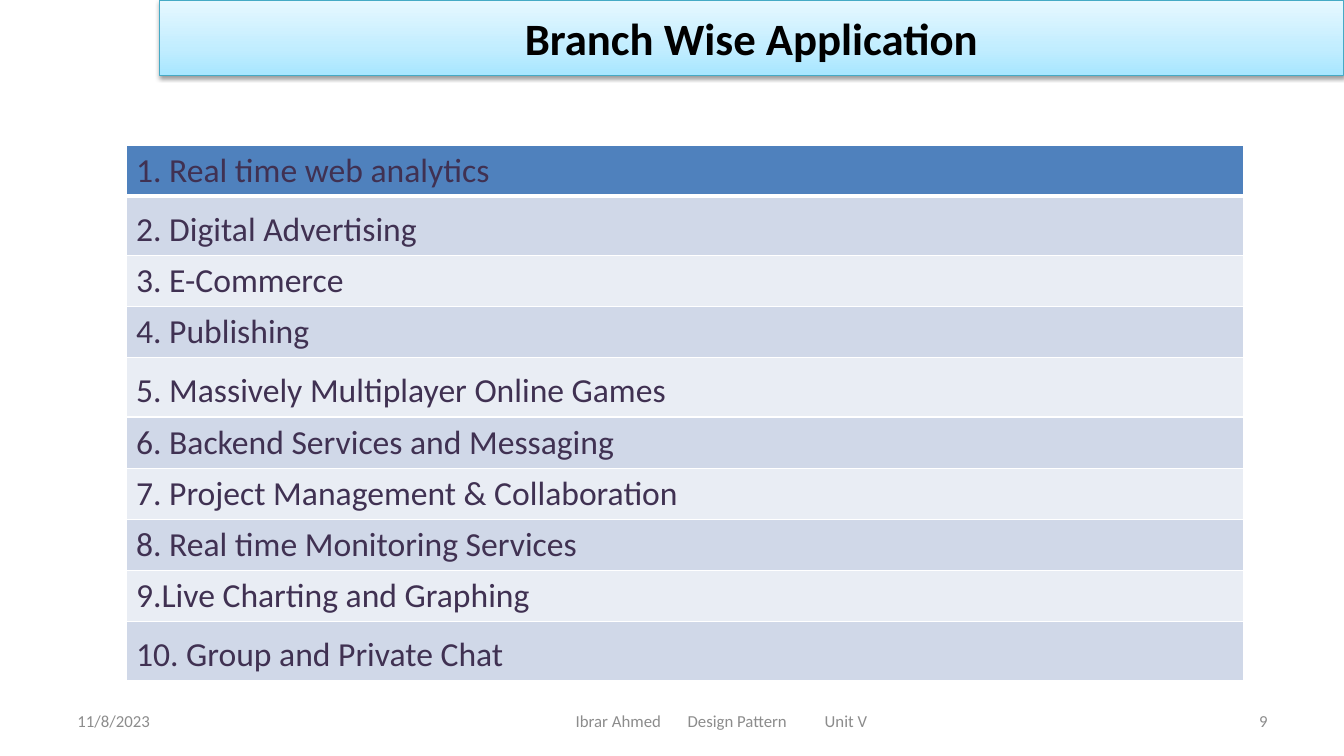
"""Build the slide listing branch wise applications."""
from dataclasses import dataclass

from lxml.etree import SubElement
from pptx import Presentation
from pptx.dml.color import RGBColor
from pptx.enum.text import MSO_ANCHOR as Anchor, PP_ALIGN as Align
from pptx.oxml import parse_xml
from pptx.oxml.ns import nsdecls, qn
from pptx.util import Inches, Pt


@dataclass(frozen=True)
class Theme:
    font: str = "Calibri"
    title_text: str = "000000"
    title_line: str = "46AAC5"
    table_text: str = "403152"
    header: str = "4F81BD"
    bands: tuple = ("E9EDF4", "D0D8E8")
    border: str = "FFFFFF"
    footer_text: str = "8C8C8C"
    title_size: int = 32
    table_size: int = 24
    footer_size: int = 12


theme = Theme()


def write(frame, text, size, color, bold=False, align=Align.LEFT, spacing=None, tabs=()):
    """Put one formatted paragraph in a text frame."""
    paragraph = frame.paragraphs[0]
    paragraph.text = text
    paragraph.alignment = align
    if spacing:
        paragraph.line_spacing = spacing
    if tabs:
        tab_list = SubElement(paragraph._p.get_or_add_pPr(), qn("a:tabLst"))
        for position in tabs:
            SubElement(tab_list, qn("a:tab"), pos=str(Inches(position)), algn="l")
    for run in paragraph.runs:
        run.font.name = theme.font
        run.font.size = Pt(size)
        run.font.bold = bold
        run.font.color.rgb = RGBColor.from_string(color)


presentation = Presentation()
presentation.slide_width, presentation.slide_height = Inches(13.33), Inches(7.5)
slide = presentation.slides.add_slide(presentation.slide_layouts[5])

title = slide.shapes.title
title.left, title.top = Inches(1.58), Inches(0)
title.width, title.height = Inches(11.75), Inches(0.75)
title.text_frame.vertical_anchor = Anchor.MIDDLE
write(title.text_frame, "Branch Wise Application", theme.title_size, theme.title_text,
      bold=True, align=Align.CENTER)
title_properties = title._element.spPr
title_properties.append(parse_xml(
    f'<a:gradFill {nsdecls("a")} rotWithShape="1"><a:gsLst>'
    '<a:gs pos="0"><a:srgbClr val="A7E6FF"/></a:gs>'
    '<a:gs pos="35000"><a:srgbClr val="C1EDFF"/></a:gs>'
    '<a:gs pos="100000"><a:srgbClr val="E7F8FF"/></a:gs>'
    '</a:gsLst><a:lin ang="16200000" scaled="1"/></a:gradFill>'))
title.line.color.rgb = RGBColor.from_string(theme.title_line)
title.line.width = Pt(0.75)
title_properties.append(parse_xml(
    f'<a:effectLst {nsdecls("a")}><a:outerShdw blurRad="{Pt(3.1)}" dist="{Pt(1.6)}" '
    'dir="5400000" rotWithShape="0"><a:srgbClr val="000000"><a:alpha val="38000"/>'
    '</a:srgbClr></a:outerShdw></a:effectLst>'))

applications = [
    ("1. Real time web analytics", None),
    ("2. Digital Advertising", 1.2),
    ("3. E-Commerce", None),
    ("4. Publishing", None),
    ("5. Massively Multiplayer Online Games", 1.2),
    ("6. Backend Services and Messaging", None),
    ("7. Project Management & Collaboration", None),
    ("8. Real time Monitoring Services", None),
    ("9.Live Charting and Graphing", None),
    ("10. Group and Private Chat", 1.2),
]
table_frame = slide.shapes.add_table(len(applications), 1, Inches(1.25), Inches(1.44),
                                     Inches(11.08), Inches(5.14))
table = table_frame.table
for index, (application, spacing) in enumerate(applications):
    table.rows[index].height = Inches(0.41)
    cell = table.cell(index, 0)
    write(cell.text_frame, application, theme.table_size, theme.table_text, spacing=spacing)
    borders = {"lnL": 1, "lnR": 1, "lnT": 3 if index == 1 else 1, "lnB": 3 if index == 0 else 1}
    for side, width in borders.items():
        cell._tc.get_or_add_tcPr().append(parse_xml(
            f'<a:{side} {nsdecls("a")} w="{Pt(width)}"><a:solidFill>'
            f'<a:srgbClr val="{theme.border}"/></a:solidFill></a:{side}>'))
    cell.fill.solid()
    cell.fill.fore_color.rgb = RGBColor.from_string(
        theme.bands[index % 2] if index else theme.header)
table_frame.height = Inches(5.14)

footers = [
    ("11/8/2023", 0.67, 3.11, 0.1, Align.LEFT, ()),
    ("Ibrar Ahmed\tDesign Pattern\tUnit V", 4.42, 5.5, 1.29, Align.LEFT, (1.11, 2.47)),
    ("9", 9.56, 3.11, 0.1, Align.RIGHT, ()),
]
for text, left, width, inset, align, tabs in footers:
    footer = slide.shapes.add_textbox(Inches(left), Inches(6.95), Inches(width), Inches(0.4))
    footer.text_frame.word_wrap = True
    footer.text_frame.vertical_anchor = Anchor.MIDDLE
    footer.text_frame.margin_left = Inches(inset)
    write(footer.text_frame, text, theme.footer_size, theme.footer_text, align=align, tabs=tabs)

presentation.save("out.pptx")
